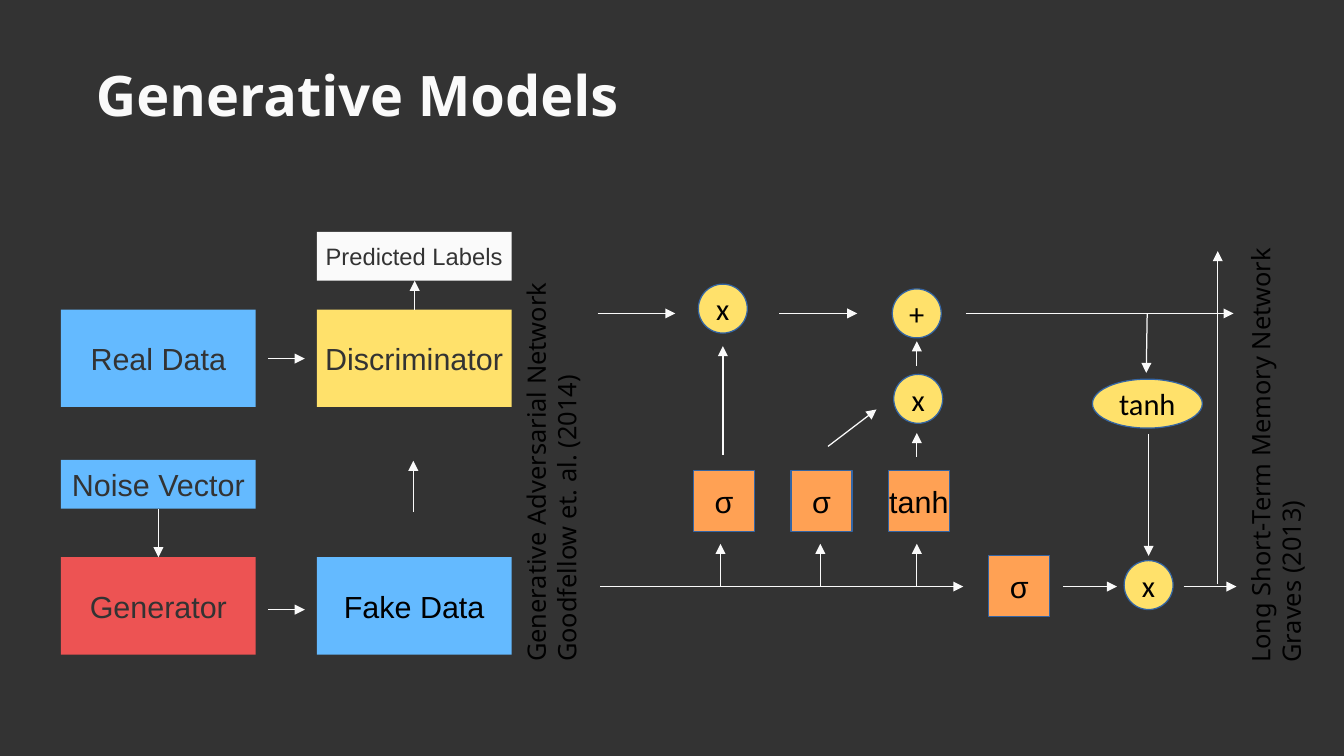
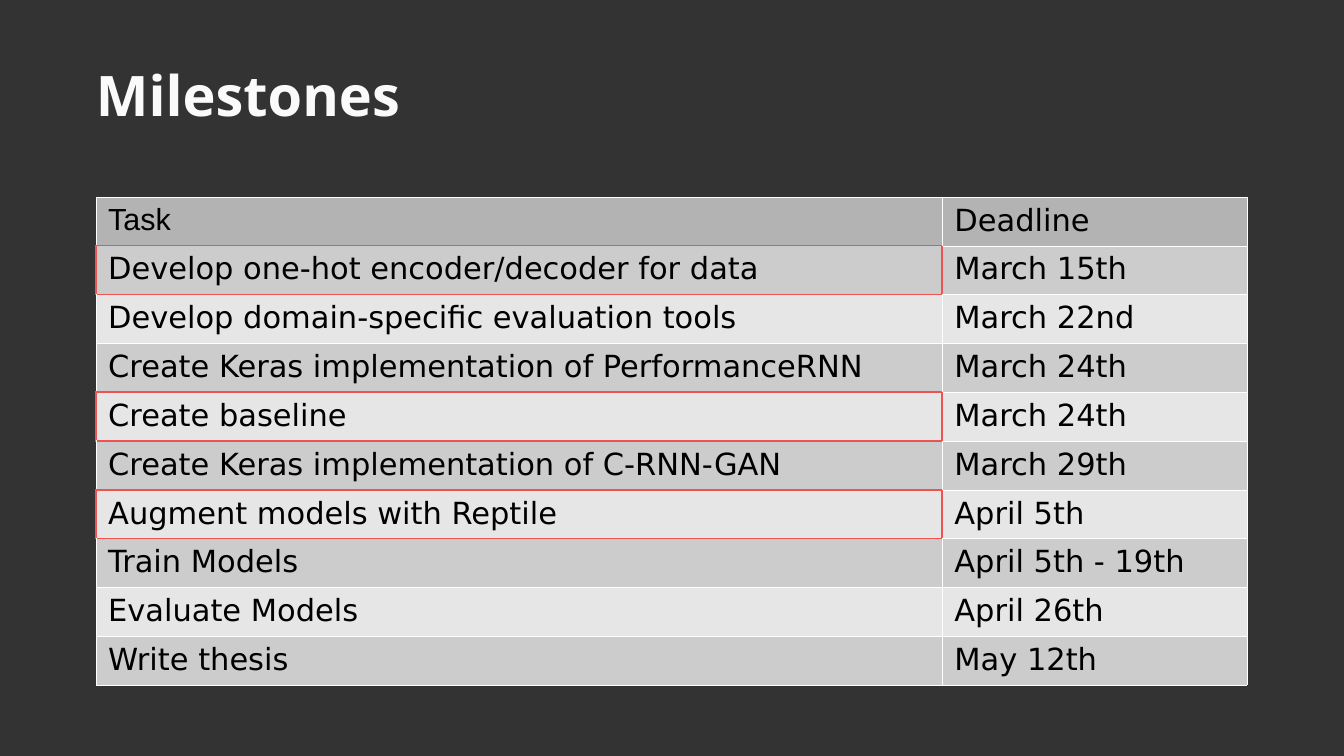
from pptx import Presentation
from pptx.dml.color import RGBColor
from pptx.enum.shapes import MSO_CONNECTOR, MSO_SHAPE
from pptx.enum.text import MSO_ANCHOR, PP_ALIGN
from pptx.oxml.ns import qn
from pptx.oxml.xmlchemy import OxmlElement
from pptx.util import Cm, Pt

RECT, OVAL = MSO_SHAPE.RECTANGLE, MSO_SHAPE.OVAL
STRAIGHT = MSO_CONNECTOR.STRAIGHT
MIDDLE, TOP = MSO_ANCHOR.MIDDLE, MSO_ANCHOR.TOP
CENTER, LEFT = PP_ALIGN.CENTER, PP_ALIGN.LEFT

COLORS = {
    "dark": "333333", "light": "FAFAFA", "black": "000000", "white": "FFFFFF",
    "blue": "64BAFF", "red": "ED5353", "yellow": "FFE16B", "orange": "FFA154",
    "outline": "3465A4", "header": "B3B3B3", "odd": "CCCCCC", "even": "E6E6E6",
}
TITLE_FONT = {"name": "Noto Sans", "size": Pt(33), "bold": True}
CAPTION_FONT = {"name": "Noto Sans", "size": Pt(15)}
LABEL_FONT = {"name": "Arial", "size": Pt(18)}
SMALL_LABEL_FONT = {"name": "Arial", "size": Pt(14)}
OPERATOR_FONT = {"name": "Calibri", "size": Pt(18)}
TABLE_FONT = {"name": "DejaVu Sans", "size": Pt(18)}

# All positions are in centimetres.
TITLE_AREA = (2, 0.64, 24.59, 2.64)
INPUT_X, OUTPUT_X = 1.27, 6.6
BLOCK_W, BLOCK_H, SLIM_H = 4.06, 2.03, 1.02
REAL_Y, FAKE_Y, NOISE_Y, LABELS_Y = 6.45, 11.61, 9.58, 4.83
GAN_BLOCKS = [  # text, left, top, height, fill, text colour, font
    ("Real Data", INPUT_X, REAL_Y, BLOCK_H, "blue", "dark", LABEL_FONT),
    ("Fake Data", OUTPUT_X, FAKE_Y, BLOCK_H, "blue", "black", LABEL_FONT),
    ("Generator", INPUT_X, FAKE_Y, BLOCK_H, "red", "dark", LABEL_FONT),
    ("Discriminator", OUTPUT_X, REAL_Y, BLOCK_H, "yellow", "dark", LABEL_FONT),
    ("Noise Vector", INPUT_X, NOISE_Y, SLIM_H, "blue", "dark", LABEL_FONT),
    ("Predicted Labels", OUTPUT_X, LABELS_Y, SLIM_H, "light", "dark",
     SMALL_LABEL_FONT),
]
GAN_ARROWS = [  # from x, from y, to x, to y
    (3.3, NOISE_Y + SLIM_H, 3.3, FAKE_Y),
    (5.59, 12.7, 6.35, 12.7),
    (5.59, 7.47, 6.35, 7.47),
    (8.64, REAL_Y, 8.64, LABELS_Y + SLIM_H),
    (8.61, 10.67, 8.61, 9.6),
]

GATE_SIZE, GATE_X, GATE_Y, GATE_STEP = 1.27, 14.45, 9.8, 2.03
GATES = [(text, GATE_X + i * GATE_STEP, GATE_Y)
         for i, text in enumerate(["σ", "σ", "tanh"])] + [("σ", 20.6, 11.58)]
OPERATOR_H = 1.02
OPERATORS = [  # text, left, top, width
    ("x", 14.55, 5.92, OPERATOR_H),
    ("+", 18.59, 6.02, OPERATOR_H),
    ("x", 18.62, 7.8, OPERATOR_H),
    ("tanh", 22.76, 7.9, 2.29),
    ("x", 23.42, 11.68, OPERATOR_H),
]
CELL_Y, HIDDEN_Y = 6.53, 12.22
CELL_STATE = [(12.45, 14.07), (16.23, 17.86), (20.12, 25.7)]
HIDDEN_STATE = [(12.5, 20.07), (22.15, 23.27), (24.66, 25.76)]
GATE_INPUTS = [15.01, 17.09, 19.1]
LSTM_ARROWS = (
    [(start, CELL_Y, end, CELL_Y) for start, end in CELL_STATE]
    + [(start, HIDDEN_Y, end, HIDDEN_Y) for start, end in HIDDEN_STATE]
    + [(x, HIDDEN_Y, x, 11.33) for x in GATE_INPUTS]
    + [
        (15.06, 9.47, 15.06, 7.21),
        (17.25, 9.3, 18.26, 8.53),
        (19.1, 7.62, 19.1, 7.11),
        (19.1, 9.52, 19.1, 9.02),
        (23.9, CELL_Y, 23.88, 7.77),
        (23.93, 9.04, 23.93, 11.58),
        (25.37, 12.17, 25.37, 5.23),
    ]
)
CAPTIONS = [
    (["Generative Adversarial Network", "Goodfellow et. al. (2014)"],
     (6.58, 8.2, 9.98, 1.7)),
    (["Long Short-Term Memory Network", "Graves (2013)"],
     (21.23, 7.77, 10.87, 1.7)),
]

MILESTONES = [
    ("Task", "Deadline"),
    ("Develop one-hot encoder/decoder for data", "March 15th"),
    ("Develop domain-specific evaluation tools", "March 22nd"),
    ("Create Keras implementation of PerformanceRNN", "March 24th"),
    ("Create baseline", "March 24th"),
    ("Create Keras implementation of C-RNN-GAN", "March 29th"),
    ("Augment models with Reptile", "April 5th"),
    ("Train Models", "April 5th - 19th"),
    ("Evaluate Models", "April 26th"),
    ("Write thesis", "May 12th"),
]
HIGHLIGHTED = {(1, 0), (4, 0), (6, 0)}
COLUMN_WIDTHS = [17.63, 6.35]
TABLE_X, TABLE_Y, TABLE_H = 2, 4.1, 10.16
EDGES = {"a:lnL": (0, -1), "a:lnR": (0, 1), "a:lnT": (-1, 0), "a:lnB": (1, 0)}


def rgb(color):
    return RGBColor.from_string(COLORS[color])


def cm(lengths):
    return [Cm(length) for length in lengths]


def write(frame, lines, font, color, align=LEFT, **frame_format):
    for key, value in frame_format.items():
        setattr(frame, key, value)
    for i, line in enumerate(lines):
        paragraph = frame.add_paragraph() if i else frame.paragraphs[0]
        paragraph.alignment = align
        run = paragraph.add_run()
        run.text = line
        for key, value in font.items():
            setattr(run.font, key, value)
        run.font.color.rgb = rgb(color)


def add_slide(prs, title):
    slide = prs.slides.add_slide(prs.slide_layouts[6])
    frame = slide.shapes.add_textbox(*cm(TITLE_AREA)).text_frame
    write(frame, [title], TITLE_FONT, "light", word_wrap=True,
          vertical_anchor=MIDDLE, margin_left=0, margin_right=0,
          margin_top=0, margin_bottom=0)
    return slide


def add_node(slide, kind, area, text, fill, font, color="black", outline=None):
    node = slide.shapes.add_shape(kind, *cm(area))
    node.shadow.inherit = False
    node.fill.solid()
    node.fill.fore_color.rgb = rgb(fill)
    if outline:
        node.line.color.rgb = rgb(outline)
        node.line.width = Pt(0.75)
    else:
        node.line.fill.background()
    write(node.text_frame, [text], font, color, CENTER,
          word_wrap=False, vertical_anchor=MIDDLE)


def add_arrow(slide, ends):
    arrow = slide.shapes.add_connector(STRAIGHT, *cm(ends))
    arrow.line.color.rgb = rgb("light")
    arrow.line.width = Pt(0.75)
    properties = arrow._element.spPr
    head = OxmlElement("a:tailEnd")
    head.set("type", "triangle")
    properties.find(qn("a:ln")).append(head)
    properties.append(OxmlElement("a:effectLst"))


def add_borders(cell, row, column):
    """Draw red edges where the cell or its neighbour is highlighted."""
    properties = cell._tc.get_or_add_tcPr()
    for i, (tag, (down, right)) in enumerate(EDGES.items()):
        red = HIGHLIGHTED & {(row, column), (row + down, column + right)}
        border = OxmlElement(tag)
        border.set("w", str(Pt(1.13 if red else 0.06)))
        fill = OxmlElement("a:solidFill")
        color = OxmlElement("a:srgbClr")
        color.set("val", COLORS["red" if red else "white"])
        fill.append(color)
        border.append(fill)
        properties.insert(i, border)


def build_models(prs):
    slide = add_slide(prs, "Generative Models")
    for text, left, top, height, fill, color, font in GAN_BLOCKS:
        add_node(slide, RECT, (left, top, BLOCK_W, height), text, fill, font,
                 color)
    for text, left, top in GATES:
        add_node(slide, RECT, (left, top, GATE_SIZE, GATE_SIZE), text,
                 "orange", LABEL_FONT, outline="outline")
    for text, left, top, width in OPERATORS:
        add_node(slide, OVAL, (left, top, width, OPERATOR_H), text,
                 "yellow", OPERATOR_FONT, outline="outline")
    for ends in GAN_ARROWS + LSTM_ARROWS:
        add_arrow(slide, ends)
    for lines, area in CAPTIONS:
        caption = slide.shapes.add_textbox(*cm(area))
        caption.rotation = 270
        write(caption.text_frame, lines, CAPTION_FONT, "black",
              word_wrap=True, vertical_anchor=TOP)


def build_milestones(prs):
    slide = add_slide(prs, "Milestones")
    area = cm((TABLE_X, TABLE_Y, sum(COLUMN_WIDTHS), TABLE_H))
    table = slide.shapes.add_table(
        len(MILESTONES), len(COLUMN_WIDTHS), *area).table
    table.first_row = table.horz_banding = False
    for column, width in zip(table.columns, COLUMN_WIDTHS):
        column.width = Cm(width)
    for r, milestone in enumerate(MILESTONES):
        fill = "header" if r == 0 else "odd" if r % 2 else "even"
        for c, text in enumerate(milestone):
            cell = table.cell(r, c)
            cell.fill.solid()
            cell.fill.fore_color.rgb = rgb(fill)
            font = LABEL_FONT if (r, c) == (0, 0) else TABLE_FONT
            write(cell.text_frame, [text], font, "black")
            add_borders(cell, r, c)


def main():
    prs = Presentation()
    prs.slide_width, prs.slide_height = Cm(28), Cm(15.75)
    backdrop = prs.slide_master.background.fill
    backdrop.solid()
    backdrop.fore_color.rgb = rgb("dark")
    build_models(prs)
    build_milestones(prs)
    prs.save("out.pptx")


if __name__ == "__main__":
    main()
